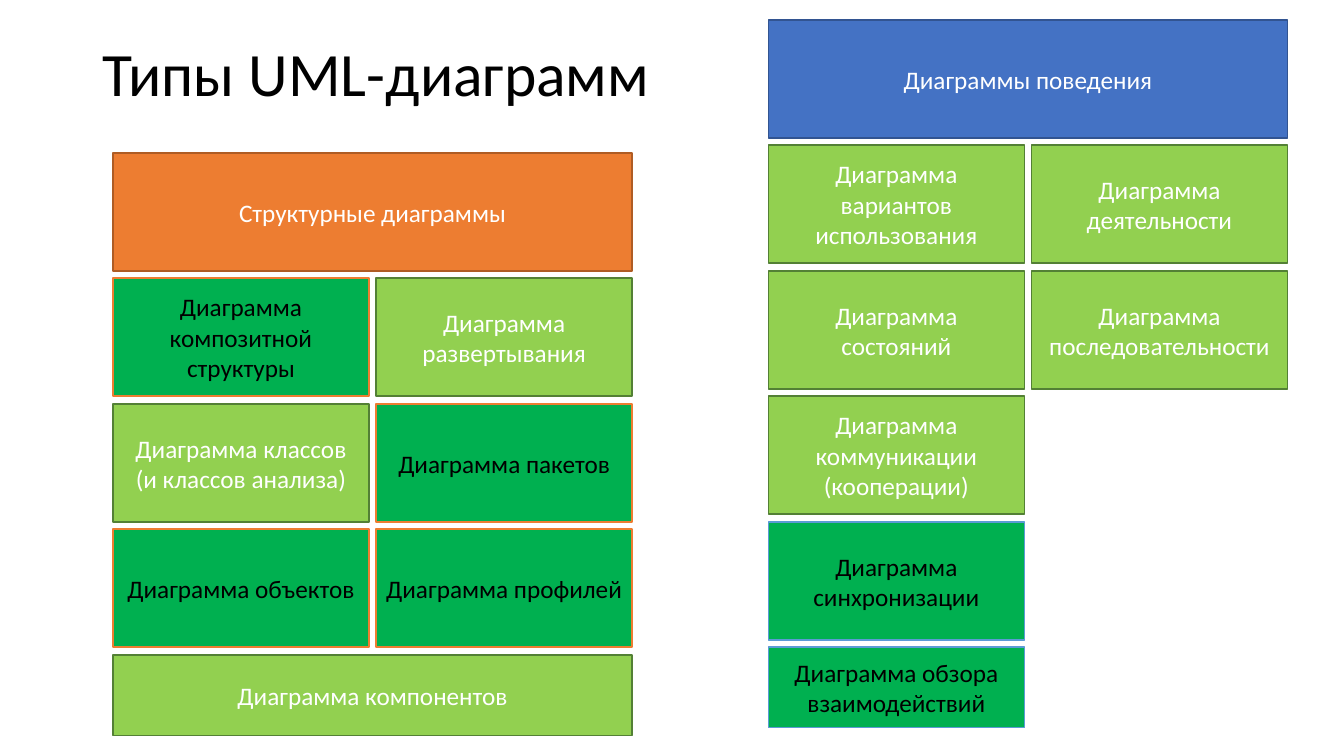
from dataclasses import dataclass

from pptx import Presentation
from pptx.dml.color import RGBColor
from pptx.enum import shapes, text
from pptx.util import Pt

PX = 9144  # EMU per px, 100 px to the inch
FONT = "Calibri"
BLACK, WHITE = "000000", "FFFFFF"

# Grid shared by both groups of boxes
CELL_W, CELL_H, LAST_H = 254, 117, 80
COL_STEP, ROW_STEP = 261, 124.4


@dataclass(frozen=True)
class Style:
    fill: str
    line: str
    font: str = WHITE


@dataclass(frozen=True)
class Box:
    label: str
    row: int
    col: int
    style: Style
    span: int = 1
    height: int = CELL_H


@dataclass(frozen=True)
class Group:
    left: int
    top: int
    boxes: list[Box]


STRUCTURE = Style("ED7D31", "AF5C24")
BEHAVIOUR = Style("4472C4", "325491")
LIGHT = Style("92D050", "538035")
DARK_ORANGE = Style("00B050", "ED7D31", BLACK)
DARK_BLUE = Style("00B050", "5B9BD5", BLACK)

GROUPS = [
    Group(112, 152, [
        Box("Структурные диаграммы", 0, 0, STRUCTURE, span=2),
        Box("Диаграмма композитной структуры", 1, 0, DARK_ORANGE),
        Box("Диаграмма развертывания", 1, 1, LIGHT),
        Box("Диаграмма классов (и классов анализа)", 2, 0, LIGHT),
        Box("Диаграмма пакетов", 2, 1, DARK_ORANGE),
        Box("Диаграмма объектов", 3, 0, DARK_ORANGE),
        Box("Диаграмма профилей", 3, 1, DARK_ORANGE),
        Box("Диаграмма компонентов", 4, 0, LIGHT, span=2, height=LAST_H),
    ]),
    Group(762, 20, [
        Box("Диаграммы поведения", 0, 0, BEHAVIOUR, span=2),
        Box("Диаграмма вариантов использования", 1, 0, LIGHT),
        Box("Диаграмма деятельности", 1, 1, LIGHT),
        Box("Диаграмма состояний", 2, 0, LIGHT),
        Box("Диаграмма последовательности", 2, 1, LIGHT),
        Box("Диаграмма коммуникации (кооперации)", 3, 0, LIGHT),
        Box("Диаграмма синхронизации", 4, 0, DARK_BLUE),
        Box("Диаграмма обзора взаимодействий", 5, 0, DARK_BLUE, height=LAST_H),
    ]),
]


def px(n: int) -> int:
    return n * PX


def rgb(value: str) -> RGBColor:
    return RGBColor.from_string(value)


def set_text(sp, label: str, size: int, colour: str, align) -> None:
    tf = sp.text_frame
    tf.text = label
    tf.word_wrap = True
    tf.auto_size = text.MSO_AUTO_SIZE.NONE
    tf.vertical_anchor = text.MSO_ANCHOR.MIDDLE
    p = tf.paragraphs[0]
    p.alignment = align
    p.font.name = FONT
    p.font.size = Pt(size)
    p.font.color.rgb = rgb(colour)


def draw_box(s, group: Group, box: Box) -> None:
    left = group.left + box.col * COL_STEP
    top = group.top + round(box.row * ROW_STEP)
    width = CELL_W + (box.span - 1) * COL_STEP
    sp = s.shapes.add_shape(shapes.MSO_SHAPE.RECTANGLE,
                            px(left), px(top), px(width), px(box.height))
    sp.shadow.inherit = False
    sp.fill.solid()
    sp.fill.fore_color.rgb = rgb(box.style.fill)
    sp.line.color.rgb = rgb(box.style.line)
    sp.line.width = Pt(1)
    set_text(sp, box.label, 18, box.style.font, text.PP_ALIGN.CENTER)


def main() -> None:
    prs = Presentation()
    prs.slide_width, prs.slide_height = px(1333), px(750)
    s = prs.slides.add_slide(prs.slide_layouts[5])

    # Title
    title = s.shapes.title
    title.left, title.top, title.width, title.height = map(px, (92, 3, 1150, 145))
    set_text(title, "Типы UML-диаграмм", 44, BLACK, text.PP_ALIGN.LEFT)
    title.text_frame.paragraphs[0].line_spacing = 0.9

    # Diagram types
    for group in GROUPS:
        for box in group.boxes:
            draw_box(s, group, box)

    prs.save("out.pptx")


if __name__ == "__main__":
    main()
